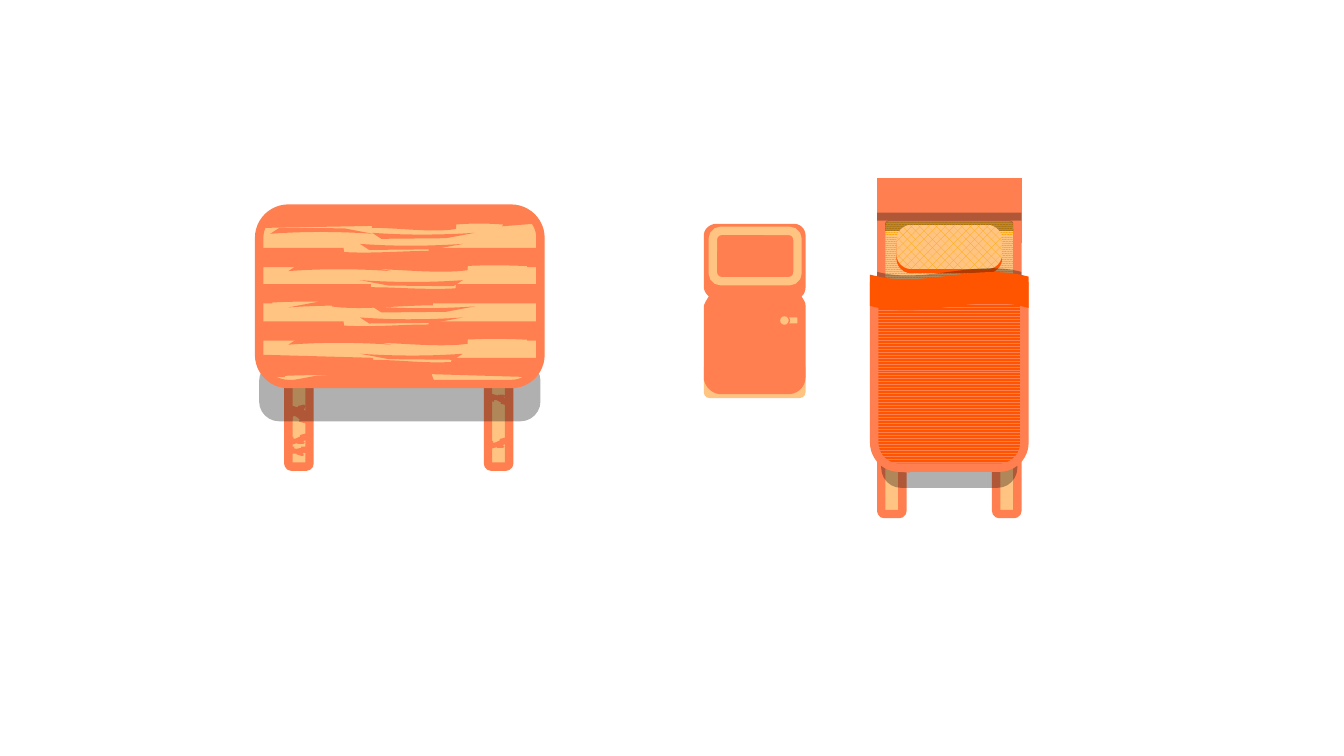
from dataclasses import dataclass
from typing import Optional, Union

from lxml import etree
from pptx import Presentation
from pptx import util as u
from pptx.dml.color import RGBColor
from pptx.enum import dml, shapes
from pptx.oxml import ns

COLUMNS, ROWS = 1333, 750
CELL = u.Inches(0.01)
CURVE_STEPS = 10

MSO = shapes.MSO_SHAPE
PATTERN = dml.MSO_PATTERN


@dataclass(frozen=True)
class Theme:
    coral: str = "FF7F50"
    flame: str = "FF5500"
    amber: str = "FFA600"
    cream: str = "FFC482"
    black: str = "000000"
    shade: int = 31
    thick: float = 6
    medium: float = 3
    thin: float = 1


T = Theme()


@dataclass(frozen=True)
class Paint:
    color: str
    alpha: int = 100
    pattern: Optional[PATTERN] = None
    back: str = T.cream


@dataclass(frozen=True)
class Edge:
    color: str
    width: float


CORAL, CREAM, FLAME = Paint(T.coral), Paint(T.cream), Paint(T.flame)
SHADE = Paint(T.black, T.shade)
FRAME = Edge(T.coral, T.thick)
GRAIN = Edge(T.coral, T.medium)


@dataclass(frozen=True)
class Piece:
    kind: MSO
    box: tuple
    paint: Optional[Paint] = None
    edge: Optional[Edge] = None
    adj: tuple = ()
    flip: bool = False
    glow: Optional[str] = None


@dataclass(frozen=True)
class Outline:
    steps: tuple
    box: tuple = (0, 0, 1, 1)
    edge: Optional[Edge] = None
    flip_h: bool = False
    flip_v: bool = False
    rotation: float = 0


BAND = ((0, 0), (.3, 0), (.26, .16), (.29, .21), (.4, .32, .5, .16, .61, .16), (.61, 0),
        (1, 0), (1, .79), (.96, .79), (.96, .74), (.8, .63, .77, .74, .68, .74),
        (.74, .95), (.71, 1), (.6, 1.1, .5, .89, .39, .89), (.39, .79), (0, .79))
BLADE = ((.09, 0), (.72, .1), (1, 1), (.61, .55, .27, .65, 0, 1))
TOP_BAND = ((280, 207), (513, 207), (528, 220), (503, 222), (504, 221),
            (466, 218, 460, 221, 438, 221), (452, 225), (446, 226),
            (420, 228, 396, 224, 371, 224), (371, 222), (263, 224),
            (263, 219, 280, 212, 280, 207))
BOTTOM_BAND = ((532, 357), (448, 357), (459, 360), (452, 361),
               (423, 363, 396, 359, 368, 359), (368, 357), (260, 354), (267, 372),
               (278, 372), (277, 371), (319, 369, 326, 371, 350, 371), (304, 378),
               (341, 378), (370, 380, 400, 377, 428, 377), (425, 369), (526, 372))
FRIDGE = ((711, 222), (787, 222), (794, 222, 799, 227, 799, 234), (799, 284),
          (799, 288, 798, 291, 796, 293), (795, 294), (798, 299),
          (799, 301, 799, 303, 799, 305), (799, 374), (799, 383, 792, 391, 782, 391),
          (715, 391), (706, 391, 698, 383, 698, 374), (698, 305),
          (698, 303, 699, 301, 700, 299), (703, 294), (702, 293),
          (700, 291, 698, 288, 698, 284), (698, 234), (698, 227, 704, 222, 711, 222))


def leg(col: float, row: float) -> Piece:
    return Piece(MSO.ROUNDED_RECTANGLE, (col, row, 21, 117), CREAM, FRAME, flip=True)


def knot(col: float, row: float, height: float, tilt: float = 0) -> Outline:
    return Outline(BAND, (col, row, 21, height), flip_v=tilt > 0, rotation=tilt)


def band(row: float, mirrored: bool = False) -> Outline:
    return Outline(BAND, (257, row, 279, 19), GRAIN, flip_h=mirrored)


def blade(col: float, row: float, flip_h: bool = False, flip_v: bool = False) -> Outline:
    return Outline(BLADE, (col, row, 102, 6), flip_h=flip_h, flip_v=flip_v)


def band_with_blades(row: float, mirrored: bool = False) -> list:
    return [band(row, mirrored), blade(286, row + 15, mirrored),
            blade(357, row - 6, mirrored, True)]


RR, R2 = MSO.ROUNDED_RECTANGLE, MSO.ROUND_2_SAME_RECTANGLE

BED_BASE = [
    Piece(MSO.RECTANGLE, (874, 181, 135, 56),
          Paint(T.coral, pattern=PATTERN.DARK_VERTICAL, back=T.flame), FRAME),
    leg(988, 393), leg(874, 393),
    Piece(RR, (874, 424, 135, 60), SHADE, adj=(.33,)),
]
TABLE_BASE = [
    leg(286, 346), leg(484, 346),
    knot(286, 443, 9), knot(286, 432, 9, -15), knot(286, 401, 17, 15),
    knot(484, 436, 9, -15), knot(485, 391, 9, 15),
    Piece(RR, (257, 358, 279, 60), SHADE, adj=(.33,)),
    Piece(RR, (257, 207, 279, 174), CREAM, FRAME),
]
FRIDGE_PARTS = [
    Piece(RR, (698, 359, 101, 36), CREAM),
    Outline(FRIDGE),
    Piece(RR, (707, 229, 84, 50), edge=Edge(T.cream, T.thick)),
    Piece(RR, (775, 315, 16, 6), CREAM, flip=True),
    Piece(MSO.OVAL, (773, 313, 10, 10), CREAM, Edge(T.coral, T.thin)),
]
TABLE_GRAIN = [
    Outline(TOP_BAND, edge=GRAIN), blade(268, 226), blade(369, 231, flip_v=True),
    *band_with_blades(248), *band_with_blades(284, True),
    blade(369, 304, flip_v=True), *band_with_blades(321),
    Outline(BOTTOM_BAND, edge=GRAIN),
    blade(286, 372, True), blade(357, 351, True, True),
]
BEDDING = [
    Piece(R2, (874, 215, 135, 248), Paint(T.cream, pattern=PATTERN.PERCENT_90, back=T.amber),
          FRAME, (.167, .056), True),
    Piece(R2, (867, 284, 149, 180), Paint(T.coral, pattern=PATTERN.ZIG_ZAG, back=T.flame),
          FRAME, flip=True),
    Piece(R2, (878, 219, 127, 10), SHADE, adj=(.293, 0)),
    Piece(MSO.RECTANGLE, (870, 211, 143, 8), SHADE),
    Piece(RR, (889, 223, 105, 44),
          Paint(T.amber, pattern=PATTERN.from_xml("pct40"), back=T.cream),
          adj=(.342,), glow=T.flame),
    Piece(MSO.WAVE, (870, 266, 143, 30), SHADE, flip=True),
    Piece(MSO.WAVE, (867, 274, 149, 30), FLAME, Edge(T.flame, T.thick), flip=True),
]


def style(sp, paint: Optional[Paint], edge: Optional[Edge]) -> None:
    sp.shadow.inherit = False
    if paint is None:
        sp.fill.background()
    elif paint.pattern is not None:
        sp.fill.patterned()
        sp.fill.pattern = paint.pattern
        sp.fill.fore_color.rgb = RGBColor.from_string(paint.color)
        sp.fill.back_color.rgb = RGBColor.from_string(paint.back)
    else:
        sp.fill.solid()
        sp.fill.fore_color.rgb = RGBColor.from_string(paint.color)
        if paint.alpha < 100:
            clr = sp.element.spPr.find(".//" + ns.qn("a:srgbClr"))
            etree.SubElement(clr, ns.qn("a:alpha"), val=str(paint.alpha * 1000))
    if edge is None:
        sp.line.fill.background()
    else:
        sp.line.color.rgb = RGBColor.from_string(edge.color)
        sp.line.width = u.Pt(edge.width)
        etree.SubElement(sp.element.spPr.find(ns.qn("a:ln")), ns.qn("a:miter"), lim="800000")


def draw_piece(slide, piece: Piece) -> None:
    sp = slide.shapes.add_shape(piece.kind, *(round(n * CELL) for n in piece.box))
    for i, value in enumerate(piece.adj):
        sp.adjustments[i] = value
    style(sp, piece.paint, piece.edge)
    if piece.flip:
        sp.element.spPr.find(ns.qn("a:xfrm")).set("flipV", "1")
    if piece.glow:
        effects = sp.element.spPr.find(ns.qn("a:effectLst"))
        drop = etree.SubElement(effects, ns.qn("a:outerShdw"), blurRad="0",
                                dist=str(u.Pt(3)), dir="5400000", algn="t", rotWithShape="0")
        etree.SubElement(drop, ns.qn("a:srgbClr"), val=piece.glow)


def flatten(steps: tuple) -> list:
    points = [steps[0]]
    for step in steps[1:]:
        if len(step) == 2:
            points.append(step)
            continue
        nodes = (points[-1], step[:2], step[2:4], step[4:])
        for i in range(1, CURVE_STEPS + 1):
            t = i / CURVE_STEPS
            weights = ((1 - t) ** 3, 3 * t * (1 - t) ** 2, 3 * t * t * (1 - t), t ** 3)
            points.append(tuple(sum(w * n[axis] for w, n in zip(weights, nodes))
                                for axis in (0, 1)))
    return points


def draw_outline(slide, outline: Outline) -> None:
    col, row, width, height = outline.box
    points = [(round((col + (1 - x if outline.flip_h else x) * width) * CELL),
               round((row + (1 - y if outline.flip_v else y) * height) * CELL))
              for x, y in flatten(outline.steps)]
    builder = slide.shapes.build_freeform(*points[0])
    builder.add_line_segments(points[1:], close=True)
    sp = builder.convert_to_shape()
    sp.rotation = outline.rotation
    style(sp, CORAL, outline.edge)


def draw(slide, item: Union[Piece, Outline]) -> None:
    (draw_piece if isinstance(item, Piece) else draw_outline)(slide, item)


def main() -> None:
    prs = Presentation()
    prs.slide_width, prs.slide_height = COLUMNS * CELL, ROWS * CELL
    slide = prs.slides.add_slide(prs.slide_layouts[6])
    for item in BED_BASE + TABLE_BASE + FRIDGE_PARTS + TABLE_GRAIN + BEDDING:
        draw(slide, item)
    prs.save("out.pptx")


if __name__ == "__main__":
    main()
